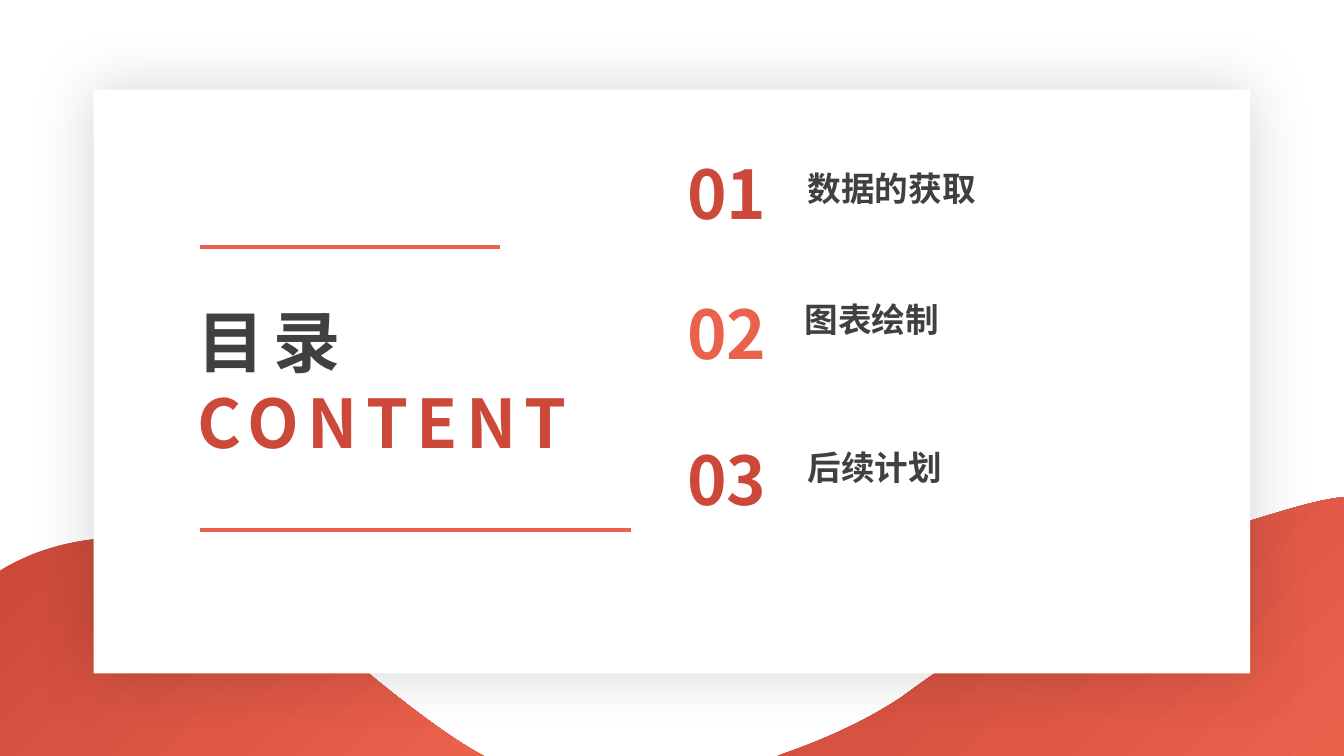
from dataclasses import dataclass

from lxml.etree import SubElement as Sub
from pptx import Presentation as Deck
from pptx.dml.color import RGBColor as Color
from pptx.enum.shapes import MSO_CONNECTOR as Link, MSO_SHAPE as Kind
from pptx.enum.text import MSO_ANCHOR as Anchor, MSO_AUTO_SIZE as Fit, PP_ALIGN as Align
from pptx.oxml.ns import qn
from pptx.shapes.base import BaseShape as Shape
from pptx.slide import Slide
from pptx.text.text import TextFrame as Frame, _Paragraph as Para
from pptx.util import Inches, Pt

Point = tuple[float, float]


@dataclass(frozen=True)
class Theme:
    font: str = "Noto Sans CJK SC"
    red: str = "CC493A"
    coral: str = "EA614C"
    ink: str = "404040"
    white: str = "FFFFFF"
    shade: str = "000000"
    large: int = 48
    small: int = 24
    lead: float = 1.2
    rule: int = 3


@dataclass(frozen=True)
class Entry:
    mark: str
    text: str
    hue: str
    high: float
    top: float
    inset: float


@dataclass(frozen=True)
class Wave:
    start: Point
    steps: tuple[tuple[Point, ...], ...]


@dataclass(frozen=True)
class Rule:
    left: float
    right: float
    y: float


LOOK = Theme()
ENTRIES = (
    Entry("01", "数据的获取", LOOK.red, 1.46, 1.62, 0.03),
    Entry("02", "图表绘制", LOOK.coral, 2.85, 2.91, 0),
    Entry("03", "后续计划", LOOK.red, 4.3, 4.38, 0.03),
)
RULES = (Rule(1.98, 4.96, 2.45), Rule(1.98, 6.26, 5.26))
WAVES = (
    Wave((1.32, 5.33), (
        ((1.68, 5.34), (2.51, 5.48), (3.43, 6.49)),
        ((3.43, 6.49), (4.27, 7.22), (4.78, 7.49)),
        ((4.8, 7.5),), ((0, 7.5),), ((0, 5.66),), ((0.05, 5.63),),
        ((0.24, 5.52), (0.59, 5.37), (1.04, 5.34)),
        ((1.07, 5.34), (1.1, 5.34), (1.14, 5.34)),
        ((1.14, 5.34), (1.2, 5.33), (1.32, 5.33)),
    )),
    Wave((13.35, 4.93), (
        ((13.35, 7.5),), ((7.71, 7.5),), ((7.79, 7.47),),
        ((8.08, 7.37), (8.55, 7.18), (8.95, 6.91)),
        ((8.95, 6.91), (10.52, 5.73), (11.79, 5.35)),
        ((12.58, 5.12), (12.92, 4.99), (13.26, 4.94)),
    )),
)


def scale(point: Point) -> tuple[int, int]:
    return Inches(point[0]), Inches(point[1])


def place(shape: Shape, left: float, top: float, width: float, height: float) -> None:
    shape.left, shape.top = Inches(left), Inches(top)
    shape.width, shape.height = Inches(width), Inches(height)


def setup(frame: Frame) -> None:
    frame.word_wrap = True
    frame.auto_size = Fit.NONE
    frame.vertical_anchor = Anchor.TOP


def write(para: Para, text: str, size: int, hue: str, track: int = 0) -> None:
    para.line_spacing = Pt(size * LOOK.lead)
    run = para.add_run()
    run.text = text
    font = run.font
    font.name, font.size, font.bold = LOOK.font, Pt(size), True
    font.color.rgb = Color.from_string(hue)
    props = run._r.get_or_add_rPr()
    Sub(props, qn("a:ea"), typeface=LOOK.font)
    if track:
        props.set("spc", str(track * 100))


def bend(shape: Shape, wave: Wave) -> None:
    lines = list(shape._element.iter(qn("a:lnTo")))
    for line, step in zip(lines, wave.steps):
        if len(step) == 3:
            line.tag = qn("a:cubicBezTo")
            line.clear()
            for x, y in map(scale, step):
                Sub(line, qn("a:pt"), x=str(x - shape.left), y=str(y - shape.top))


def draw_wave(slide: Slide, wave: Wave) -> None:
    build = slide.shapes.build_freeform(*scale(wave.start))
    build.add_line_segments([scale(step[-1]) for step in wave.steps], close=True)
    shape = build.convert_to_shape()
    bend(shape, wave)
    shape.shadow.inherit = False
    shape.line.fill.background()
    shape.fill.gradient()
    shape.fill.gradient_angle = 315
    for stop, hue in zip(shape.fill.gradient_stops, (LOOK.red, LOOK.coral)):
        stop.color.rgb = Color.from_string(hue)


def draw_card(slide: Slide) -> None:
    card = slide.shapes.add_shape(
        Kind.RECTANGLE, Inches(0.93), Inches(0.89), Inches(11.47), Inches(5.79))
    card.fill.solid()
    card.fill.fore_color.rgb = Color.from_string(LOOK.white)
    card.line.fill.background()
    card.shadow.inherit = False
    glow = Sub(card._element.spPr.find(qn("a:effectLst")), qn("a:outerShdw"),
               blurRad=str(Pt(45)), dist="0", dir="0", algn="ctr", rotWithShape="0")
    tint = Sub(glow, qn("a:srgbClr"), val=LOOK.shade)
    Sub(tint, qn("a:alpha"), val="17000")


def draw_rule(slide: Slide, rule: Rule) -> None:
    line = slide.shapes.add_connector(
        Link.STRAIGHT, Inches(rule.left), Inches(rule.y), Inches(rule.right), Inches(rule.y))
    line.line.color.rgb = Color.from_string(LOOK.coral)
    line.line.width = Pt(LOOK.rule)
    Sub(line._element.spPr, qn("a:effectLst"))


def draw_mark(slide: Slide, entry: Entry) -> None:
    box = slide.shapes.add_textbox(
        Inches(6.56), Inches(entry.high), Inches(1.3), Inches(0.91))
    setup(box.text_frame)
    para = box.text_frame.paragraphs[0]
    para.alignment = Align.CENTER
    write(para, entry.mark, LOOK.large, entry.hue)


def fill_title(title: Shape) -> None:
    place(title, 1.86, 2.93, 4.8, 1.72)
    frame = title.text_frame
    setup(frame)
    for i, (text, hue) in enumerate((("目录", LOOK.ink), ("CONTENT", LOOK.red))):
        para = frame.add_paragraph() if i else frame.paragraphs[0]
        para.alignment = Align.LEFT
        para.space_before = Pt(0)
        write(para, text, LOOK.large, hue, 6)


def fill_list(body: Shape) -> None:
    place(body, 7.88, ENTRIES[0].top, 1.92, 3.26)
    frame = body.text_frame
    setup(frame)
    prior = None
    for entry in ENTRIES:
        para = frame.add_paragraph() if prior else frame.paragraphs[0]
        gap = (entry.top - prior.top) * 72 - LOOK.small * LOOK.lead if prior else 0
        para.alignment = Align.LEFT
        para.space_before = Pt(gap)
        write(para, entry.text, LOOK.small, LOOK.ink)
        props = para._p.get_or_add_pPr()
        props.set("marL", str(Inches(entry.inset)))
        props.set("indent", "0")
        Sub(props, qn("a:buNone"))
        prior = entry


def main() -> None:
    deck = Deck()
    deck.slide_width, deck.slide_height = Inches(13.33), Inches(7.5)
    slide = deck.slides.add_slide(deck.slide_layouts[1])
    title, body = slide.placeholders
    for wave in WAVES:
        draw_wave(slide, wave)
    draw_card(slide)
    for rule in RULES:
        draw_rule(slide, rule)
    for entry in ENTRIES:
        draw_mark(slide, entry)
    fill_list(body)
    fill_title(title)
    for shape in (body, title):
        slide.shapes._spTree.append(shape._element)
    deck.save("out.pptx")


if __name__ == "__main__":
    main()
